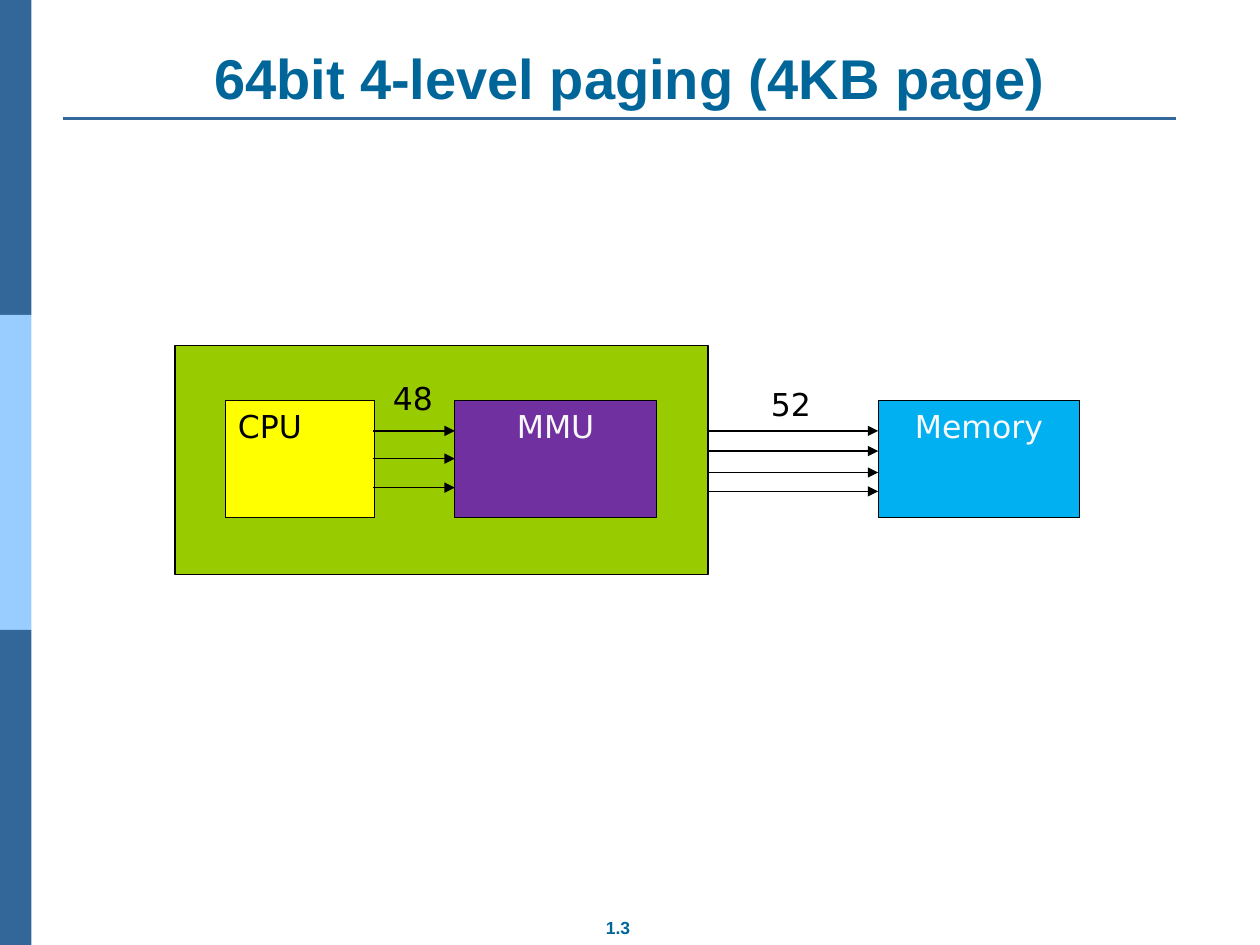
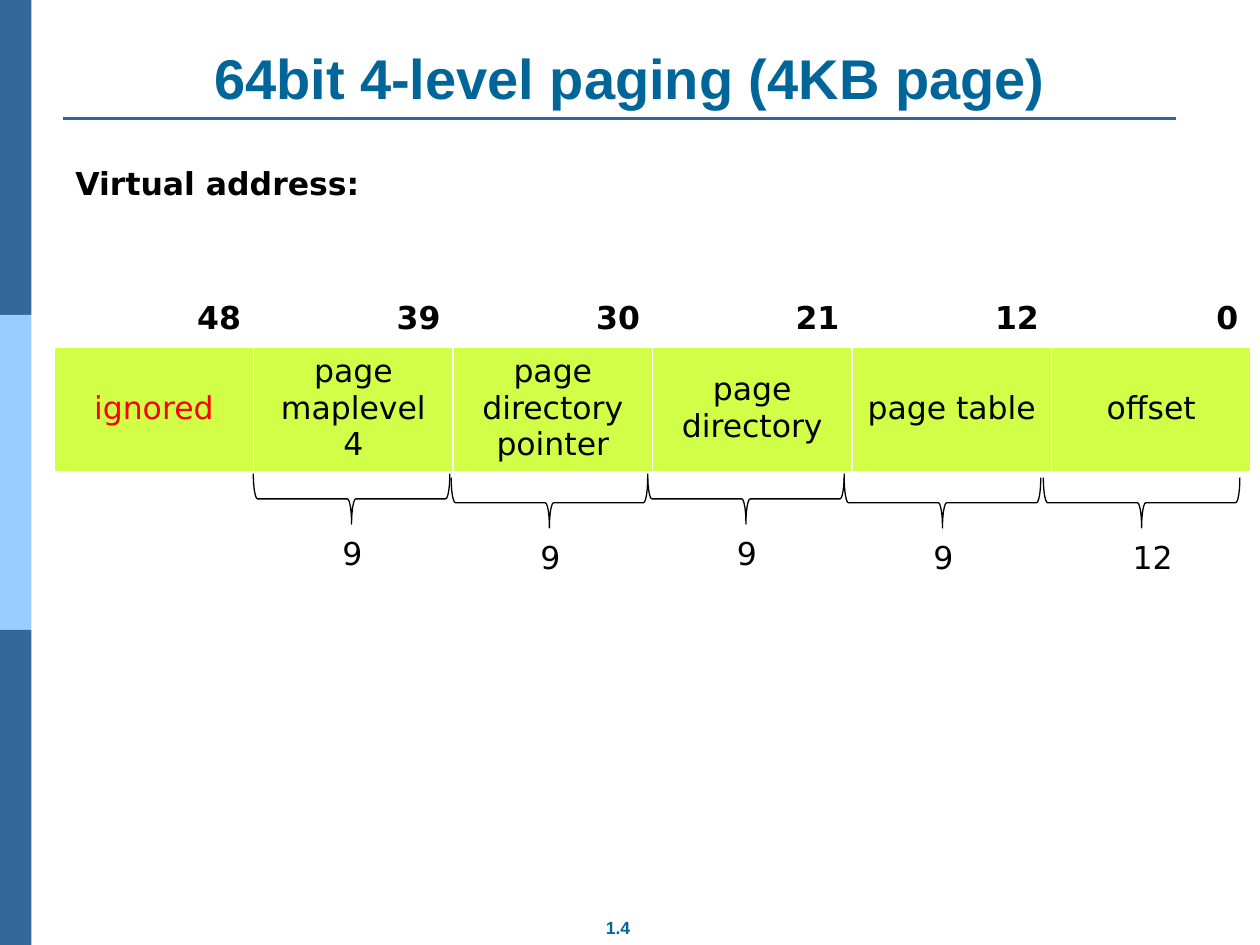
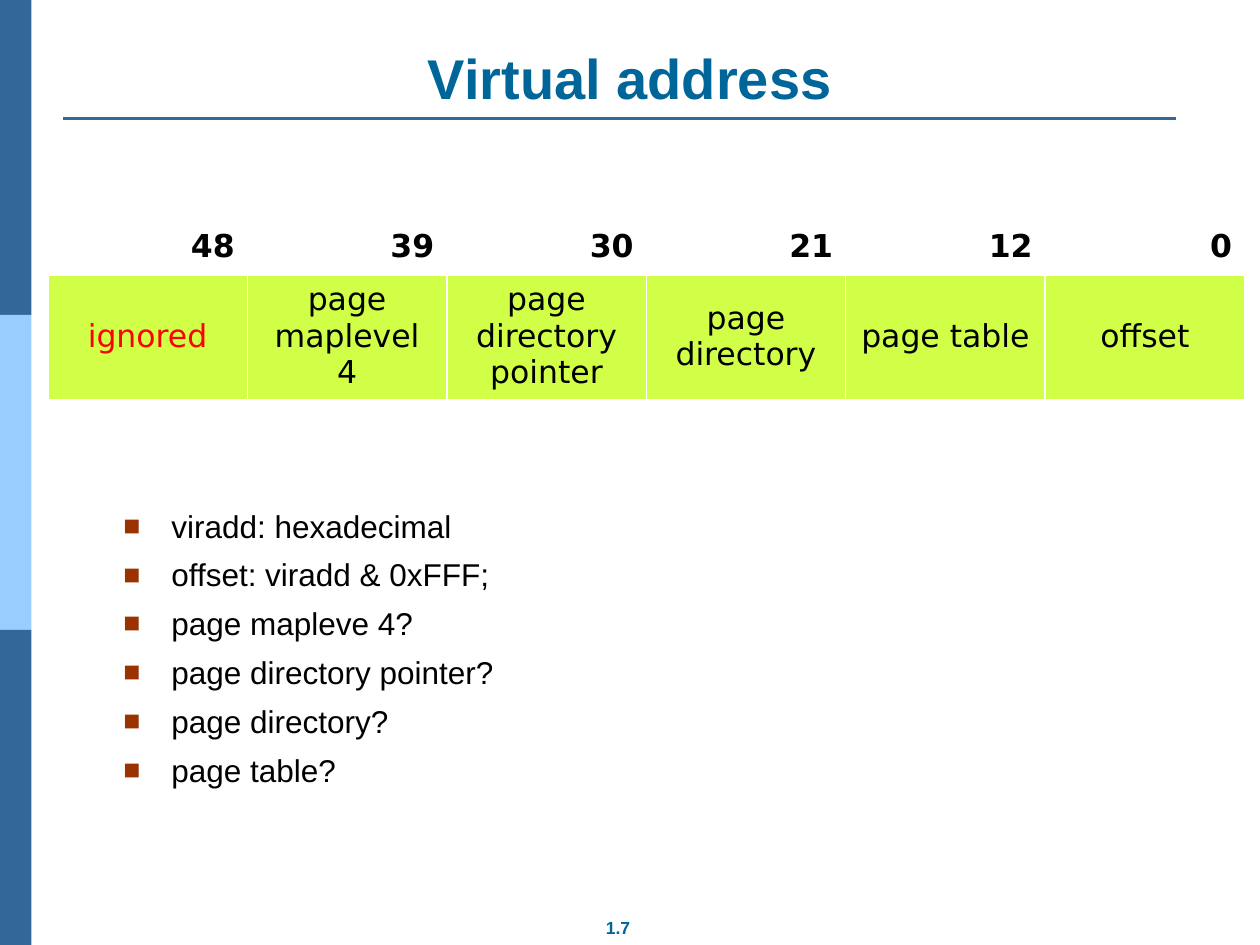
from dataclasses import dataclass

from lxml.etree import SubElement
from pptx import Presentation
from pptx.dml.color import RGBColor
from pptx.enum.shapes import MSO_CONNECTOR as Link, MSO_SHAPE as Form
from pptx.enum.text import MSO_ANCHOR as Anchor, MSO_AUTO_SIZE as Fit, PP_ALIGN as Align
from pptx.oxml.ns import qn
from pptx.util import Inches, Pt

COLORS = {
    "band": "336699", "sky": "99CCFF", "title": "006699", "mark": "993300",
    "black": "000000", "white": "FFFFFF", "pale": "F8F8F8", "red": "FF0000",
    "chip": "99CC00", "violet": "7030A0", "yellow": "FFFF00", "blue": "00B0F0",
    "lime": "D1FF47",
}
SANS = "DejaVu Sans"
LEVELS = "64bit 4-level paging (4KB page)"
BITS = ["48", "39", "30", "21", "12", "0"]
FIELDS = ["ignored", "page maplevel 4", "page directory pointer",
          "page directory", "page table", "offset"]
TASKS = ["viradd: hexadecimal", "offset: viradd & 0xFFF;", "page mapleve 4?",
         "page directory pointer?", "page directory?", "page table?"]


@dataclass
class Box:
    x: float
    y: float
    w: float
    h: float
    fill: str
    text: str = ""
    color: str = "pale"
    align: Align = Align.CENTER


@dataclass
class Bus:
    start: float
    end: float
    rows: list[float]


@dataclass
class Brace:
    x: float
    y: float
    bits: str
    width: float = 0.47


PARTS = [
    Box(1.39, 2.74, 4.23, 1.82, "chip"),
    Box(3.61, 3.18, 1.6, 0.93, "violet", "MMU"),
    Box(1.79, 3.18, 1.18, 0.93, "yellow", "CPU", "black", Align.LEFT),
    Box(6.97, 3.18, 1.6, 0.93, "blue", "Memory"),
]
BUSES = [
    Bus(2.96, 3.61, [3.42, 3.64, 3.87]),
    Bus(5.61, 6.97, [3.42, 3.58, 3.75, 3.9]),
]
BRACES = [
    Brace(2.59, 3.18, "9"), Brace(4.16, 3.21, "9"), Brace(5.72, 3.18, "9"),
    Brace(7.28, 3.21, "9"), Brace(8.86, 3.21, "12", 0.6),
]


def rgb(name: str) -> RGBColor:
    return RGBColor.from_string(COLORS[name])


def write(frame, text: str, *, size: float = 18, font: str = SANS,
          color: str = "black", bold: bool = False, align=Align.LEFT,
          anchor=Anchor.TOP, wrap: bool = True) -> None:
    frame.word_wrap = wrap
    frame.vertical_anchor = anchor
    for i, line in enumerate(text.split("\n")):
        para = frame.add_paragraph() if i else frame.paragraphs[0]
        para.alignment = align
        run = para.add_run()
        run.text = line
        run.font.size = Pt(size)
        run.font.name = font
        run.font.bold = bold
        run.font.color.rgb = rgb(color)


def place(shape, x: float, y: float, w: float, h: float) -> None:
    shape.left, shape.top = Inches(x), Inches(y)
    shape.width, shape.height = Inches(w), Inches(h)


def label(slide, x: float, y: float, w: float, h: float, text: str, **style) -> None:
    area = slide.shapes.add_textbox(Inches(x), Inches(y), Inches(w), Inches(h))
    write(area.text_frame, text, **style)


def draw_form(slide, form, x: float, y: float, w: float, h: float,
              fill: str = "", line: str = ""):
    shape = slide.shapes.add_shape(form, Inches(x), Inches(y), Inches(w), Inches(h))
    shape.shadow.inherit = False
    if fill:
        shape.fill.solid()
        shape.fill.fore_color.rgb = rgb(fill)
    else:
        shape.fill.background()
    if line:
        shape.line.color.rgb = rgb(line)
        shape.line.width = Pt(0.75)
    else:
        shape.line.fill.background()
    return shape


def draw_line(slide, start: float, end: float, y: float, color: str = "black",
              width: float = 0.75, arrow: bool = True) -> None:
    link = slide.shapes.add_connector(
        Link.STRAIGHT, Inches(start), Inches(y), Inches(end), Inches(y))
    link.line.color.rgb = rgb(color)
    link.line.width = Pt(width)
    props = link._element.spPr
    if arrow:
        SubElement(props.find(qn("a:ln")), qn("a:tailEnd"), type="triangle")
    SubElement(props, qn("a:effectLst"))


def add_slide(deck, layout: int, title: str, page: str):
    slide = deck.slides.add_slide(deck.slide_layouts[layout])
    for i, fill in enumerate(["band", "sky", "band"]):
        draw_form(slide, Form.RECTANGLE, 0, 2.5 * i, 0.25, 2.5, fill)
    draw_line(slide, 0.5, 9.33, 0.94, "band", 1.5, arrow=False)
    label(slide, 4.66, 7.23, 0.49, 0.27, page, size=10, font="Arial",
          color="title", bold=True, align=Align.CENTER, wrap=False)
    head = slide.shapes.title
    place(head, 0.5, 0.3, 9, 0.63)
    head.text_frame.auto_size = Fit.NONE
    write(head.text_frame, title, size=32, font="Arial", color="title",
          bold=True, align=Align.CENTER, anchor=Anchor.BOTTOM)
    return slide


def edge(cell, base: float) -> None:
    props = cell._tc.get_or_add_tcPr()
    for side, width in {"L": 1, "R": 1, "T": 1, "B": base}.items():
        line = SubElement(props, qn(f"a:ln{side}"), w=str(Pt(width)))
        fill = SubElement(line, qn("a:solidFill"))
        SubElement(fill, qn("a:srgbClr"), val=COLORS["white"])


def draw_table(slide, x: float, y: float) -> None:
    table = slide.shapes.add_table(
        2, len(BITS), Inches(x), Inches(y), Inches(9.5), Inches(1.37)).table
    table.first_row = table.horz_banding = False
    table.rows[0].height, table.rows[1].height = Inches(0.42), Inches(0.95)
    for i, (bit, field) in enumerate(zip(BITS, FIELDS)):
        top, low = table.cell(0, i), table.cell(1, i)
        edge(top, 3)
        edge(low, 1)
        top.fill.background()
        low.fill.solid()
        low.fill.fore_color.rgb = rgb("lime")
        write(top.text_frame, bit, bold=True, align=Align.RIGHT)
        write(low.text_frame, field, color="black" if i else "red", align=Align.CENTER)
        top.vertical_anchor = low.vertical_anchor = Anchor.MIDDLE


def mark(para) -> None:
    props = para._p.get_or_add_pPr()
    props.set("marL", str(Inches(0.38)))
    props.set("indent", str(-Inches(0.38)))
    space = SubElement(props, qn("a:spcBef"))
    SubElement(space, qn("a:spcPct"), val="35000")
    color = SubElement(props, qn("a:buClr"))
    SubElement(color, qn("a:srgbClr"), val=COLORS["mark"])
    SubElement(props, qn("a:buSzPct"), val="90000")
    SubElement(props, qn("a:buFont"), typeface="Arial")
    SubElement(props, qn("a:buChar"), char="■")


def show_chip(deck) -> None:
    slide = add_slide(deck, 5, LEVELS, "1.3")
    for part in PARTS:
        shape = draw_form(slide, Form.RECTANGLE, part.x, part.y, part.w, part.h,
                          part.fill, "black")
        if part.text:
            write(shape.text_frame, part.text, color=part.color, align=part.align)
    for bus in BUSES:
        for y in bus.rows:
            draw_line(slide, bus.start, bus.end, y)
    label(slide, 3.02, 2.96, 1.19, 0.4, "48")
    label(slide, 6.02, 3.01, 1.19, 0.4, "52")


def show_fields(deck) -> None:
    slide = add_slide(deck, 5, LEVELS, "1.4")
    draw_table(slide, 0.43, 2.32)
    label(slide, 0.5, 1.25, 5.79, 0.4, "Virtual address:", bold=True)
    for brace in BRACES:
        shape = draw_form(slide, Form.RIGHT_BRACE, brace.x, brace.y, 0.4, 1.56,
                          line="black")
        shape.rotation = 90
        label(slide, brace.x + 0.03, brace.y + 1.01, brace.width, 0.4, brace.bits)


def show_tasks(deck) -> None:
    slide = add_slide(deck, 1, "Virtual address", "1.7")
    body = slide.placeholders[1]
    place(body, 0.88, 3.97, 9, 2.33)
    body.text_frame.auto_size = Fit.NONE
    write(body.text_frame, "\n".join(TASKS), font="Arial")
    for para in body.text_frame.paragraphs:
        mark(para)
    draw_table(slide, 0.38, 1.75)


def main() -> None:
    deck = Presentation()
    deck.slide_width, deck.slide_height = Inches(10), Inches(7.5)
    show_chip(deck)
    show_fields(deck)
    show_tasks(deck)
    deck.save("out.pptx")


if __name__ == "__main__":
    main()
